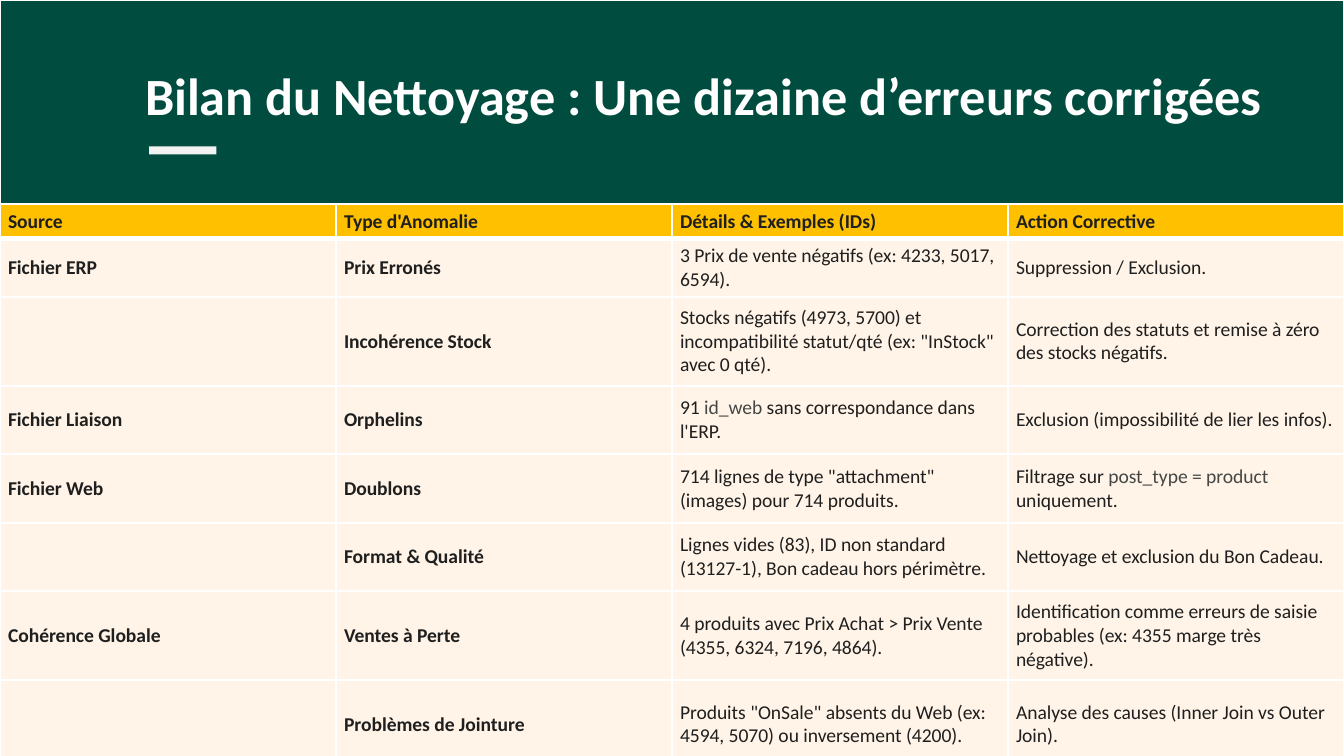
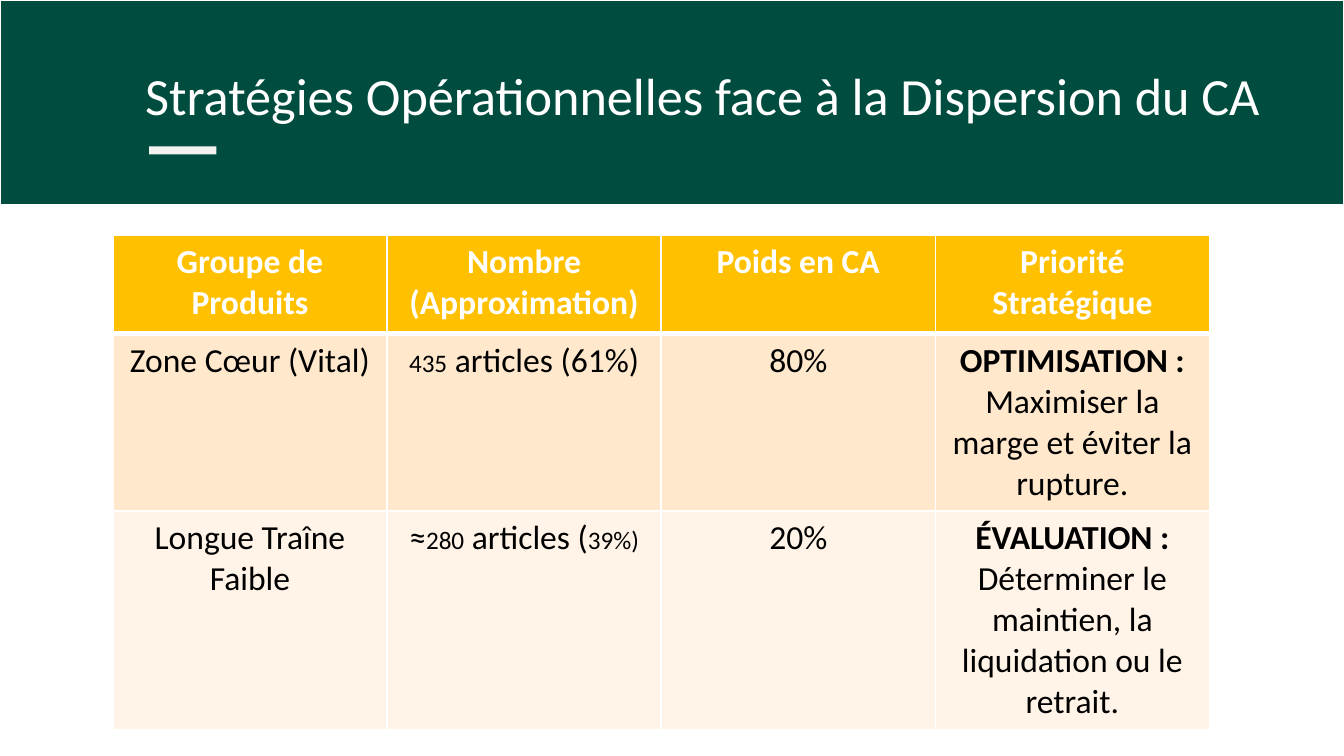
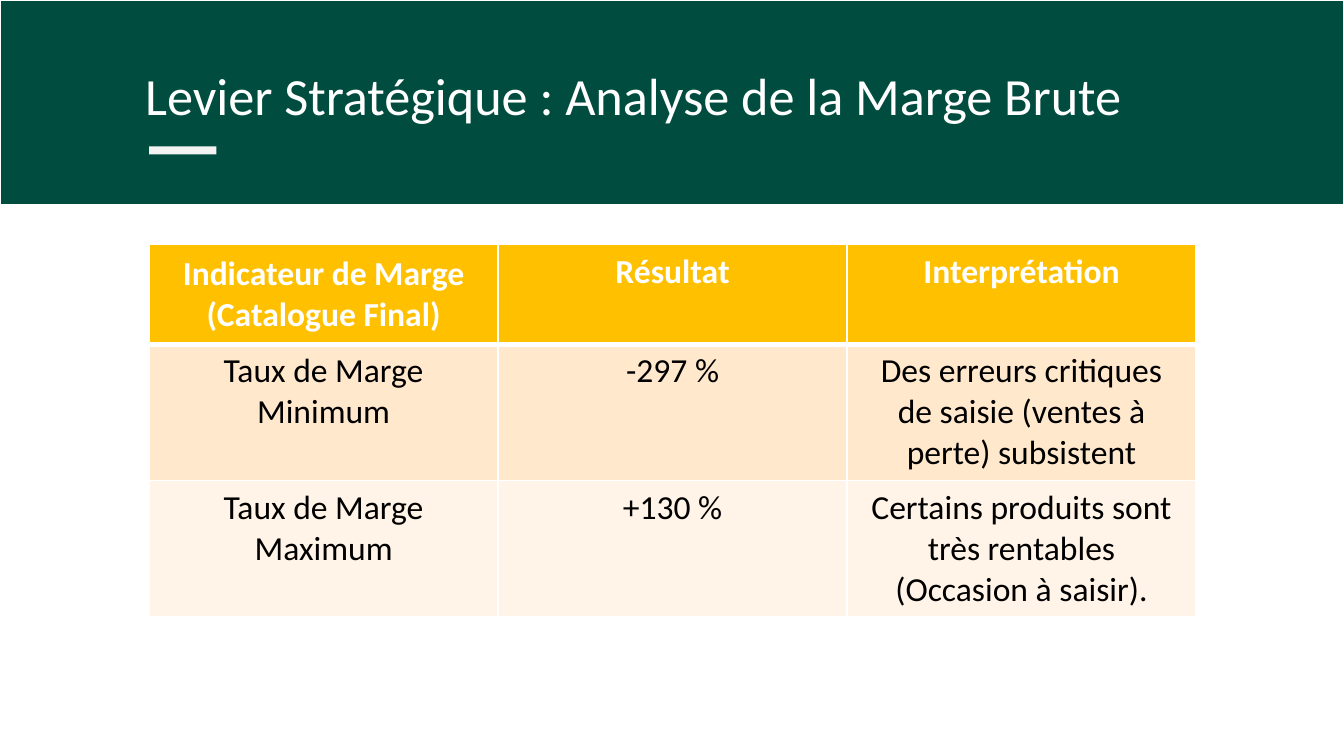
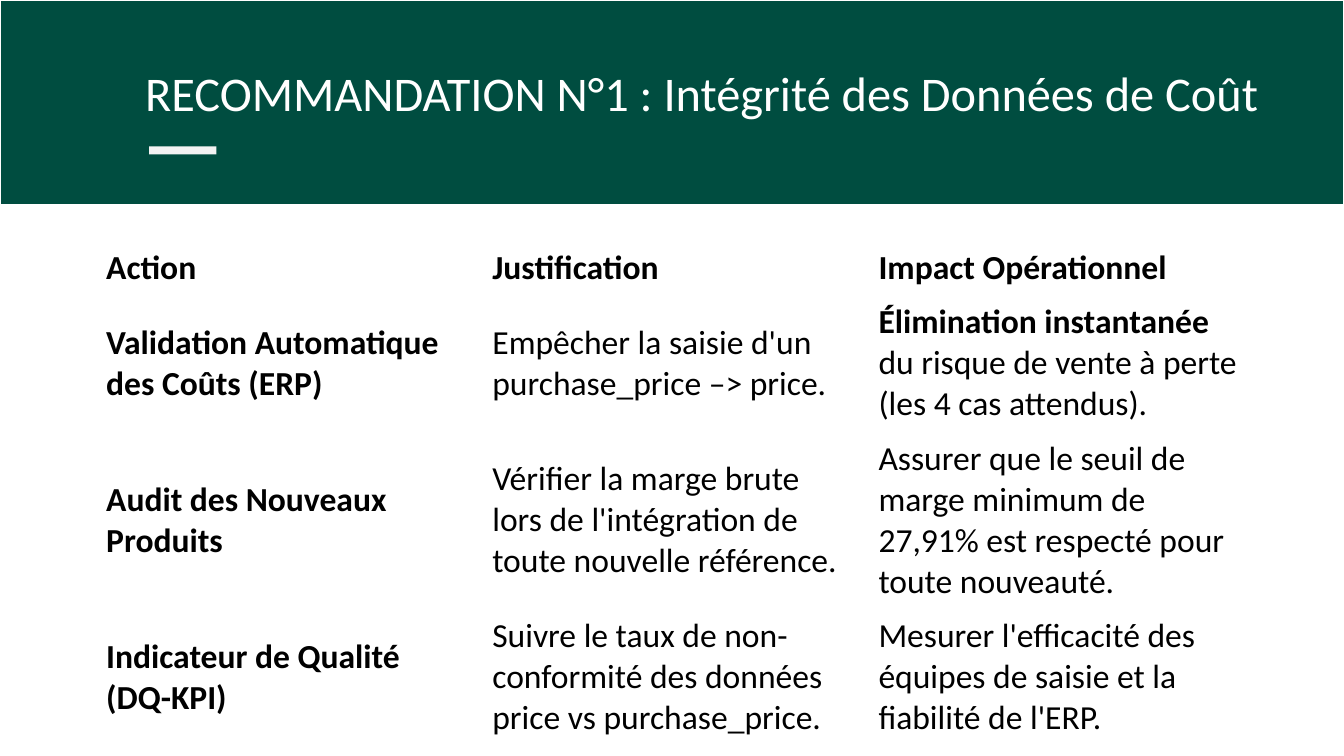
from lxml import etree
from pptx import Presentation
from pptx.dml.color import RGBColor
from pptx.enum.shapes import MSO_SHAPE
from pptx.enum.text import MSO_ANCHOR, MSO_AUTO_SIZE, PP_ALIGN
from pptx.oxml.ns import qn
from pptx.util import Inches, Pt

RECTANGLE = MSO_SHAPE.RECTANGLE
TOP, MIDDLE = MSO_ANCHOR.TOP, MSO_ANCHOR.MIDDLE
LEFT, CENTER = PP_ALIGN.LEFT, PP_ALIGN.CENTER
NO_AUTOFIT = MSO_AUTO_SIZE.NONE
TITLE_ONLY = 5


class Theme:
    font = "Calibri"
    green = RGBColor.from_string("004D40")
    white = RGBColor.from_string("FFFFFF")
    black = RGBColor.from_string("000000")
    accent = RGBColor.from_string("F3F3F3")
    amber = RGBColor.from_string("FFC000")
    peach = RGBColor.from_string("FFE8CC")
    cream = RGBColor.from_string("FFF4E7")
    ink = RGBColor.from_string("1F1F1F")
    code = RGBColor.from_string("444746")
    title_size = 28
    long_title_size = 25.9
    table_size = 18
    small_size = 13.5
    dense_size = 10.5


# A cell is a string, or a list of (text, style) runs
BOLD, SMALL, CODE, PLAIN = "bold", "small", "code", "plain"

cleaning_rows = [
    ["Source", "Type d'Anomalie", "Détails & Exemples (IDs)", "Action Corrective"],
    ["Fichier ERP", "Prix Erronés",
     "3 Prix de vente négatifs (ex: 4233, 5017, 6594).", "Suppression / Exclusion."],
    ["", "Incohérence Stock",
     'Stocks négatifs (4973, 5700) et incompatibilité statut/qté (ex: "InStock" avec 0 qté).',
     "Correction des statuts et remise à zéro des stocks négatifs."],
    ["Fichier Liaison", "Orphelins",
     [("91 ", PLAIN), ("id_web", CODE), (" sans correspondance dans l'ERP.", PLAIN)],
     "Exclusion (impossibilité de lier les infos)."],
    ["Fichier Web", "Doublons",
     '714 lignes de type "attachment" (images) pour 714 produits.',
     [("Filtrage sur ", PLAIN), ("post_type = product", CODE), (" uniquement.", PLAIN)]],
    ["", "Format & Qualité",
     "Lignes vides (83), ID non standard (13127-1), Bon cadeau hors périmètre.",
     "Nettoyage et exclusion du Bon Cadeau."],
    ["Cohérence Globale", "Ventes à Perte",
     "4 produits avec Prix Achat > Prix Vente (4355, 6324, 7196, 4864).",
     "Identification comme erreurs de saisie probables (ex: 4355 marge très négative)."],
    ["", "Problèmes de Jointure",
     'Produits "OnSale" absents du Web (ex: 4594, 5070) ou inversement (4200).',
     "Analyse des causes (Inner Join vs Outer Join)."],
]

strategy_rows = [
    ["Groupe de Produits", "Nombre (Approximation)", "Poids en CA", "Priorité Stratégique"],
    ["Zone Cœur (Vital)", [("435", SMALL), (" articles (61%)", PLAIN)], "80%",
     [("OPTIMISATION :", BOLD), (" Maximiser la marge et éviter la rupture.", PLAIN)]],
    ["Longue Traîne Faible",
     [("≈", PLAIN), ("280", SMALL), (" articles (", PLAIN), ("39%)", SMALL)], "20%",
     [("ÉVALUATION :", BOLD),
      (" Déterminer le maintien, la liquidation ou le retrait.", PLAIN)]],
]

margin_rows = [
    ["Indicateur de Marge (Catalogue Final)", "Résultat", "Interprétation"],
    ["Taux de Marge Minimum", "-297 %",
     "Des erreurs critiques de saisie (ventes à perte) subsistent"],
    ["Taux de Marge Maximum", "+130 %",
     "Certains produits sont très rentables (Occasion à saisir)."],
]

recommendation_rows = [
    ["Action", "Justification", "Impact Opérationnel"],
    ["Validation Automatique des Coûts (ERP)",
     "Empêcher la saisie d'un purchase_price –> price.",
     [("Élimination instantanée", BOLD),
      (" du risque de vente à perte (les 4 cas attendus).", PLAIN)]],
    ["Audit des Nouveaux Produits",
     "Vérifier la marge brute lors de l'intégration de toute nouvelle référence.",
     "Assurer que le seuil de marge minimum de 27,91% est respecté pour toute nouveauté."],
    ["Indicateur de Qualité (DQ-KPI)",
     "Suivre le taux de non-conformité des données price vs purchase_price.",
     "Mesurer l'efficacité des équipes de saisie et la fiabilité de l'ERP."],
]

# Widescreen deck, 16:9
deck = Presentation()
deck.slide_width = Inches(10)
deck.slide_height = deck.slide_width * 9 // 16


def add_titled_slide(text, size=Theme.title_size, bold=False):
    """Add a slide with the green band, its title and the short rule."""
    slide = deck.slides.add_slide(deck.slide_layouts[TITLE_ONLY])
    title = slide.shapes.title
    title.left, title.top = Inches(0.98), Inches(0.37)
    title.width, title.height = Inches(9.32), Inches(0.63)
    frame = title.text_frame
    frame.text = text
    frame.word_wrap = True
    frame.auto_size = NO_AUTOFIT
    frame.vertical_anchor = TOP
    frame.margin_left = frame.margin_right = Inches(0.1)
    frame.margin_top = frame.margin_bottom = Inches(0.1)
    para = frame.paragraphs[0]
    para.alignment = LEFT
    font = para.runs[0].font
    font.name, font.size, font.bold = Theme.font, Pt(size), bold
    font.color.rgb = Theme.white

    band = slide.shapes.add_shape(RECTANGLE, 0, 0, deck.slide_width, Inches(1.52))
    band.fill.solid()
    band.fill.fore_color.rgb = Theme.green
    band.line.color.rgb = Theme.white
    band.line.width = Pt(0.75)
    rule = slide.shapes.add_shape(
        RECTANGLE, Inches(1.11), Inches(1.09), Inches(0.5), Inches(0.06))
    rule.fill.solid()
    rule.fill.fore_color.rgb = Theme.accent
    rule.line.fill.background()
    band.shadow.inherit = rule.shadow.inherit = False
    title.element.addprevious(band.element)  # the band lies behind the title
    return slide


def add_grid(slide, rows, left, top, width, heights, size=Theme.table_size,
             header_color=Theme.white, color=Theme.black, fills=None, bold_columns=0,
             align=CENTER, anchor=TOP, insets=(0.1, 0.05), border=1, header_border=3):
    """Add a table; fills are those of the header and then of the body rows in turn."""
    column_count = len(rows[0])
    table = slide.shapes.add_table(
        len(rows), column_count, Inches(left), Inches(top),
        Inches(width), Inches(sum(heights))).table
    table.horz_banding = False
    for column in table.columns:
        column.width = Inches(width / column_count)
    for row_index, (row, height) in enumerate(zip(rows, heights)):
        table.rows[row_index].height = Inches(height)
        header = row_index == 0
        for column_index, content in enumerate(row):
            cell = table.cell(row_index, column_index)
            cell.vertical_anchor = anchor
            cell.margin_left = cell.margin_right = Inches(insets[0])
            cell.margin_top = cell.margin_bottom = Inches(insets[1])

            # Borders come before the fill; the row above draws the top edge
            properties = cell._tc.get_or_add_tcPr()
            for side in ("lnL", "lnR", "lnT", "lnB") if header else ("lnL", "lnR", "lnB"):
                weight = header_border if header and side == "lnB" else border
                line = etree.SubElement(properties, qn("a:" + side), w=str(Pt(weight)))
                line_fill = etree.SubElement(line, qn("a:solidFill"))
                etree.SubElement(line_fill, qn("a:srgbClr"), val=str(Theme.white))
            if fills:
                cell.fill.solid()
                body_fills = fills[1:]
                cell.fill.fore_color.rgb = (
                    fills[0] if header else body_fills[(row_index - 1) % len(body_fills)])
            else:
                cell.fill.background()

            # Text
            para = cell.text_frame.paragraphs[0]
            para.alignment = align
            if not content:
                para.font.size = Pt(size)
                continue
            for text, style in [(content, PLAIN)] if isinstance(content, str) else content:
                span = para.add_run()
                span.text = text
                font = span.font
                font.name = Theme.font
                font.size = Pt(Theme.small_size if style == SMALL else size)
                font.bold = header or style == BOLD or column_index < bold_columns
                font.color.rgb = (Theme.code if style == CODE
                                  else header_color if header else color)
    return table


# Slide 1: cleaning summary
page = add_titled_slide("Bilan du Nettoyage : Une dizaine d’erreurs corrigées", bold=True)
add_grid(page, cleaning_rows, 0, 1.52, 10,
         [0.23, 0.37, 0.66, 0.51, 0.51, 0.51, 0.66, 0.66],
         size=Theme.dense_size, header_color=Theme.ink, color=Theme.ink,
         fills=[Theme.amber, Theme.cream], bold_columns=2,
         align=LEFT, anchor=MIDDLE, insets=(0.06, 0.04))

# Slide 2: strategies by product group
banded = [Theme.amber, Theme.peach, Theme.cream]
page = add_titled_slide("Stratégies Opérationnelles face à la Dispersion du CA")
add_grid(page, strategy_rows, 0.84, 1.75, 8.16, [0.73, 1.02, 1.31], fills=banded)

# Slide 3: gross margin
page = add_titled_slide("Levier Stratégique : Analyse de la Marge Brute")
margin_table = add_grid(page, margin_rows, 1.11, 1.82, 7.79, [0.74] * 3, fills=banded)
margin_table.cell(0, 0).vertical_anchor = MIDDLE

# Slide 4: first recommendation
page = add_titled_slide("RECOMMANDATION N°1 : Intégrité des Données de Coût",
                        size=Theme.long_title_size)
add_grid(page, recommendation_rows, 0.69, 1.79, 8.62, [0.4, 0.75, 0.75, 0.75],
         header_color=Theme.black, bold_columns=1, align=LEFT, anchor=MIDDLE,
         border=0.6, header_border=0.6)

deck.save("out.pptx")
